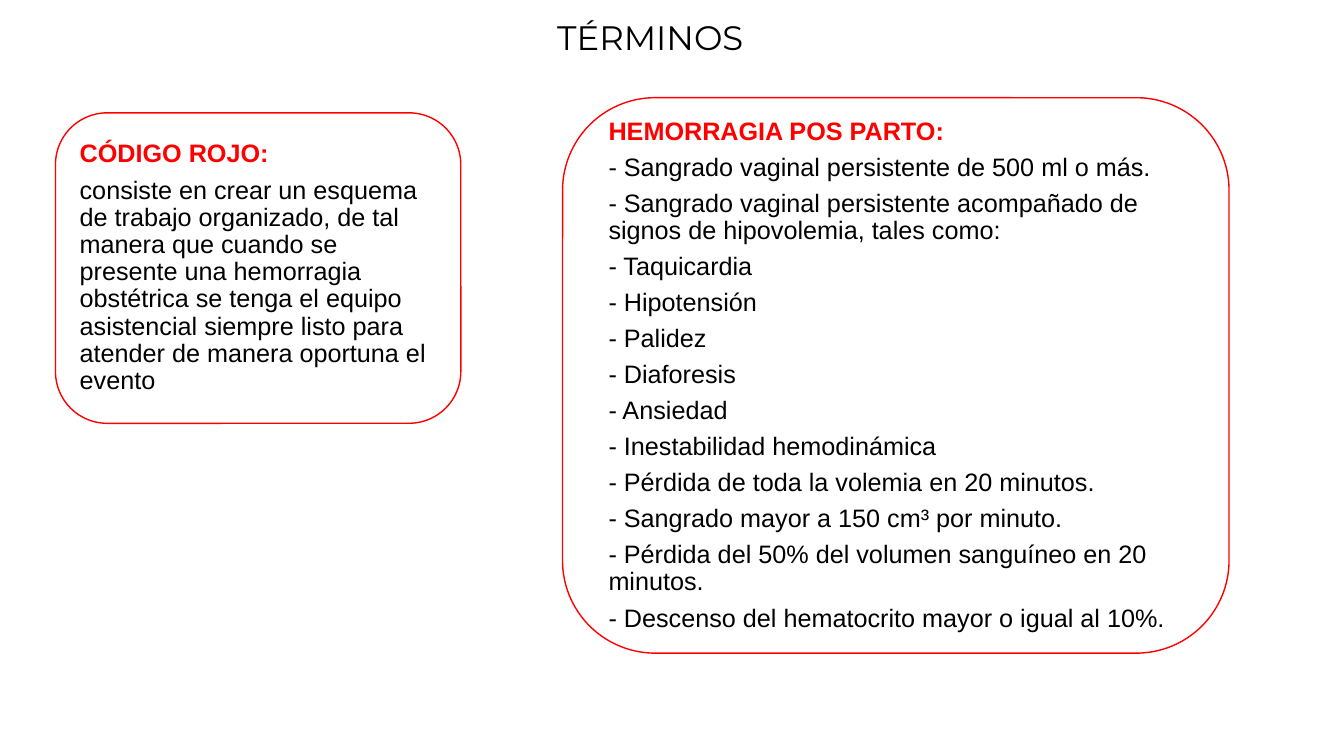
from dataclasses import dataclass

from pptx import Presentation
from pptx import util as u
from pptx.dml.color import RGBColor
from pptx.enum import shapes, text


@dataclass(frozen=True)
class Theme:
    ink: RGBColor = RGBColor(0, 0, 0)
    accent: RGBColor = RGBColor(255, 0, 0)
    paper: RGBColor = RGBColor(255, 255, 255)
    title_font: str = "Montserrat"
    body_font: str = "Arial"
    title_size: float = 24.2
    body_size: float = 18
    outline: float = 1
    corner_inset: float = 0.05


def apply(target, values):
    for key, value in values.items():
        setattr(target, key, value)


class Deck:
    def __init__(self, theme):
        self.theme = theme
        self.file = Presentation()
        self.file.slide_width = u.Inches(13.33)
        self.file.slide_height = u.Inches(7.5)
        self.slide = self.file.slides.add_slide(self.file.slide_layouts[5])

    def area(self, left, top, width, height):
        across, down = self.file.slide_width / 100, self.file.slide_height / 100
        return [int(n) for n in (left * across, top * down, width * across, height * down)]

    def fill_paragraph(self, paragraph, words, spacing, font, color):
        paragraph.text = words
        apply(paragraph, spacing)
        run = paragraph.runs[0]
        apply(run.font, font)
        run.font.color.rgb = color

    def title(self, words, share):
        heading = self.slide.shapes.title
        apply(heading, dict(zip(("left", "top", "width", "height"), self.area(*share))))
        apply(heading.text_frame, {
            "word_wrap": True,
            "auto_size": text.MSO_AUTO_SIZE.NONE,
            "vertical_anchor": text.MSO_ANCHOR.TOP,
        })
        self.fill_paragraph(
            heading.text_frame.paragraphs[0], words,
            {"alignment": text.PP_ALIGN.CENTER, "line_spacing": 0.8, "space_before": u.Pt(0)},
            {"name": self.theme.title_font, "size": u.Pt(self.theme.title_size), "bold": False},
            self.theme.ink,
        )

    def frame(self, area):
        outline = self.slide.shapes.add_shape(shapes.MSO_SHAPE.ROUNDED_RECTANGLE, *area)
        outline.shadow.inherit = False
        outline.fill.solid()
        outline.fill.fore_color.rgb = self.theme.paper
        outline.line.color.rgb = self.theme.accent
        outline.line.width = u.Pt(self.theme.outline)

    def definition(self, term, meaning, share, margin, inset_sides):
        left, top, width, height = area = self.area(*share)
        self.frame(area)
        inset = int(self.theme.corner_inset * min(width, height))
        side = inset if inset_sides else 0
        box = self.slide.shapes.add_textbox(
            left + side, top + inset, width - 2 * side, height - 2 * inset)
        body = box.text_frame
        apply(body, {
            "word_wrap": True,
            "vertical_anchor": text.MSO_ANCHOR.MIDDLE,
            "margin_left": u.Inches(margin),
            "margin_right": u.Inches(margin),
            "margin_top": 0,
            "margin_bottom": 0,
        })
        for index, words in enumerate([term, *meaning]):
            is_term = index == 0
            paragraph = body.paragraphs[0] if is_term else body.add_paragraph()
            self.fill_paragraph(
                paragraph, words,
                {"line_spacing": 0.9, "space_after": u.Pt(0.35 * self.theme.body_size)},
                {"name": self.theme.body_font, "size": u.Pt(self.theme.body_size),
                 "bold": is_term},
                self.theme.accent if is_term else self.theme.ink,
            )


def main():
    deck = Deck(Theme())
    deck.title("TÉRMINOS", (10.88, 2.53, 75.02, 12.4))
    deck.definition(
        "CÓDIGO ROJO:",
        ["consiste en crear un esquema de trabajo organizado, de tal manera que cuando "
         "se presente una hemorragia obstétrica se tenga el equipo asistencial siempre "
         "listo para atender de manera oportuna el evento"],
        (4.13, 14.93, 30.16, 41.07), margin=0.24, inset_sides=False)
    signs = ["Taquicardia", "Hipotensión", "Palidez", "Diaforesis", "Ansiedad",
             "Inestabilidad hemodinámica"]
    criteria = [
        "Sangrado vaginal persistente de 500 ml o más.",
        "Sangrado vaginal persistente acompañado de signos de hipovolemia, tales como:",
        *signs,
        "Pérdida de toda la volemia en 20 minutos.",
        "Sangrado mayor a 150 cm³ por minuto.",
        "Pérdida del 50% del volumen sanguíneo en 20 minutos.",
        "Descenso del hematocrito mayor o igual al 10%.",
    ]
    deck.definition(
        "HEMORRAGIA POS PARTO:", [f"- {criterion}" for criterion in criteria],
        (41.86, 12.93, 49.59, 73.47), margin=0.18, inset_sides=True)
    deck.file.save("out.pptx")


if __name__ == "__main__":
    main()
